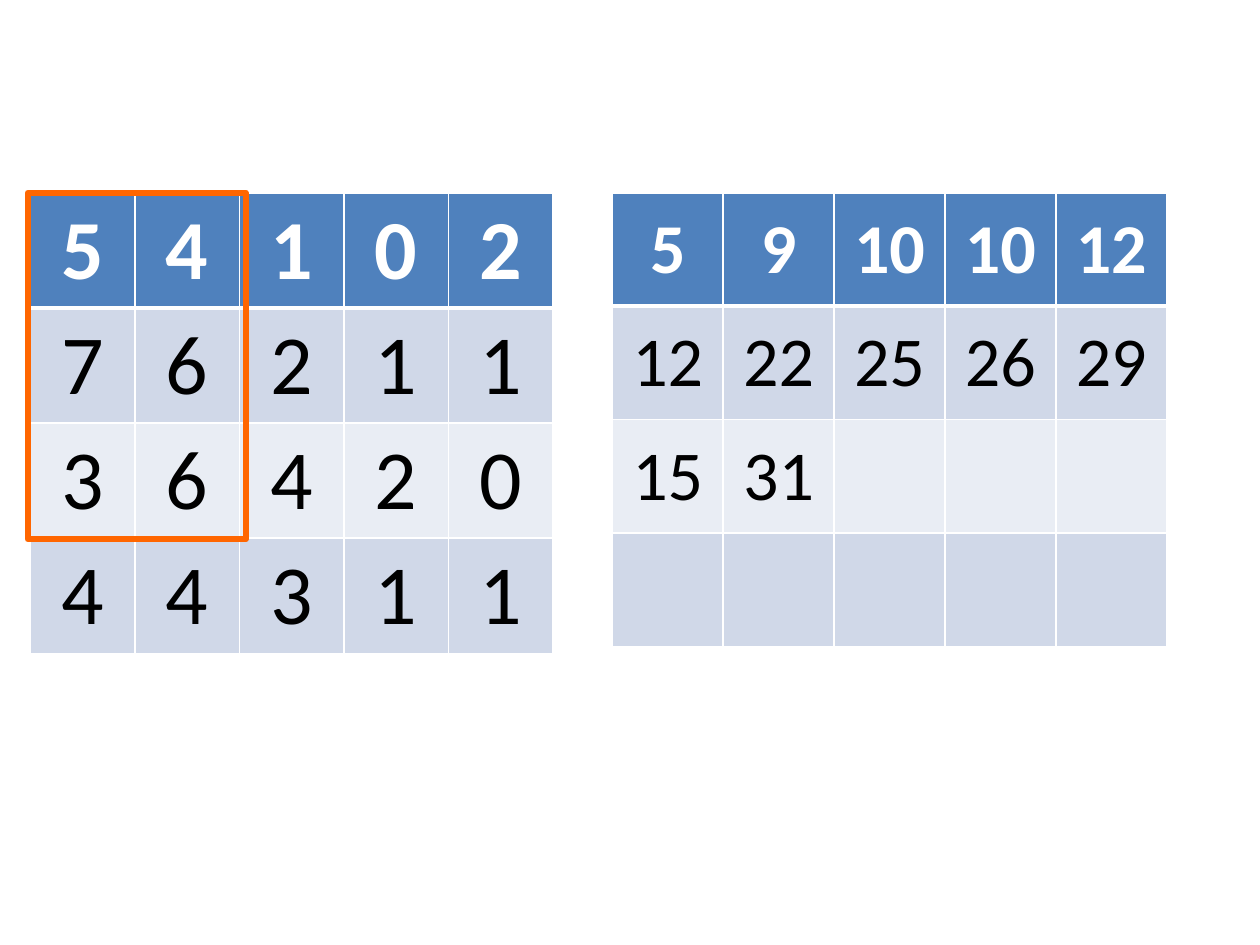
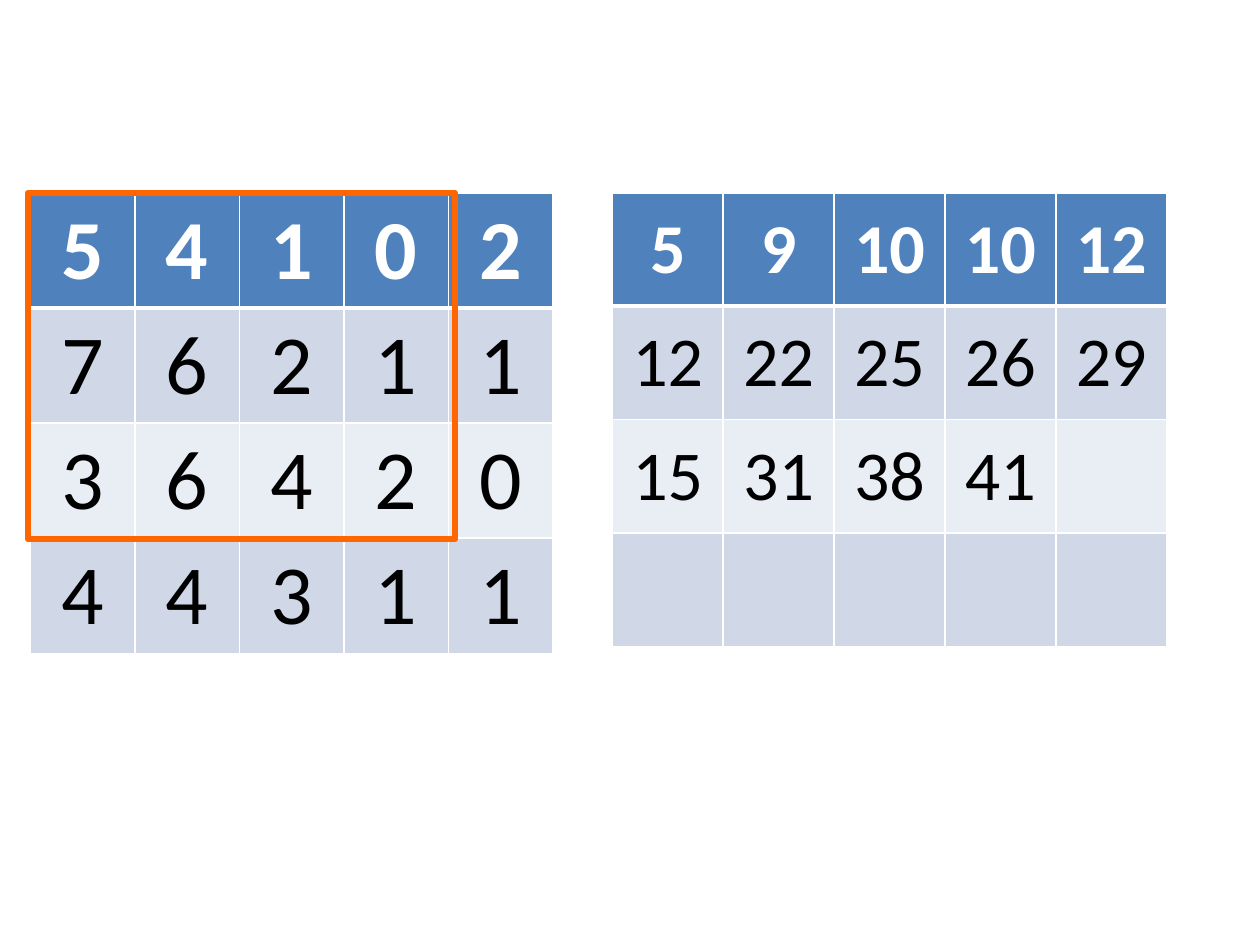
from lxml import etree
from pptx import Presentation
from pptx.dml.color import RGBColor
from pptx.enum.shapes import MSO_SHAPE
from pptx.enum.text import MSO_ANCHOR, PP_ALIGN
from pptx.oxml.ns import qn
from pptx.util import Inches, Pt

NUMBERS = [
    [5, 4, 1, 0, 2],
    [7, 6, 2, 1, 1],
    [3, 6, 4, 2, 0],
    [4, 4, 3, 1, 1],
]
FINISHED_SUMS = [
    [5, 9, 10, 10, 12],
    [12, 22, 25, 26, 29],
]
# One slide per step: the sums reached so far in the third row
STEPS = [
    [15, 31],
    [15, 31, 38, 41],
]

FONT = "Calibri"
WHITE = RGBColor(0xFF, 0xFF, 0xFF)
BLACK = RGBColor(0x00, 0x00, 0x00)
HEADER_BLUE = RGBColor(0x4F, 0x81, 0xBD)
BANDS = [RGBColor(0xE9, 0xED, 0xF4), RGBColor(0xD0, 0xD8, 0xE8)]
ORANGE = RGBColor(0xFF, 0x66, 0x00)

RECTANGLE = MSO_SHAPE.RECTANGLE
CENTER = PP_ALIGN.CENTER
MIDDLE = MSO_ANCHOR.MIDDLE

ROWS, COLUMNS = 4, 5
TOP = 1.53
ROW_HEIGHT = 0.9
NUMBERS_LEFT, NUMBERS_COLUMN, NUMBERS_SIZE = 0.24, 0.83, 48
SUMS_LEFT, SUMS_COLUMN, SUMS_SIZE = 4.86, 0.88, 40
FRAME_LEFT, FRAME_ROWS = 0.22, 3
FRAME_EXTRA_WIDTH, FRAME_EXTRA_HEIGHT = 0.07, 0.05


def set_borders(cell, row):
    """White rules, thicker between the header row and the body."""
    widths = {"lnL": 1, "lnR": 1, "lnT": 3 if row == 1 else 1, "lnB": 3 if row == 0 else 1}
    properties = cell._tc.get_or_add_tcPr()
    for side, width in widths.items():
        line = etree.SubElement(properties, qn(f"a:{side}"), w=str(Pt(width)))
        fill = etree.SubElement(line, qn("a:solidFill"))
        etree.SubElement(fill, qn("a:srgbClr"), val=str(WHITE))


def add_grid(slide, values, left, column_width, size):
    table = slide.shapes.add_table(
        ROWS, COLUMNS, Inches(left), Inches(TOP),
        Inches(COLUMNS * column_width), Inches(ROWS * ROW_HEIGHT),
    ).table
    for column in table.columns:
        column.width = Inches(column_width)
    for row in range(ROWS):
        is_header = row == 0
        for column in range(COLUMNS):
            cell = table.cell(row, column)
            set_borders(cell, row)
            cell.fill.solid()
            cell.fill.fore_color.rgb = HEADER_BLUE if is_header else BANDS[row % 2]
            cell.vertical_anchor = MIDDLE
            if row < len(values) and column < len(values[row]):
                para = cell.text_frame.paragraphs[0]
                para.text = str(values[row][column])
                para.alignment = CENTER
                font = para.runs[0].font
                font.name, font.size, font.bold = FONT, Pt(size), is_header
                font.color.rgb = WHITE if is_header else BLACK


def add_frame(slide, columns):
    """Outline the block of numbers that the latest sum covers."""
    frame = slide.shapes.add_shape(
        RECTANGLE, Inches(FRAME_LEFT), Inches(TOP),
        Inches(columns * NUMBERS_COLUMN + FRAME_EXTRA_WIDTH),
        Inches(FRAME_ROWS * ROW_HEIGHT + FRAME_EXTRA_HEIGHT),
    )
    frame.shadow.inherit = False
    frame.fill.background()
    frame.line.color.rgb = ORANGE
    frame.line.width = Pt(3.5)


def main():
    deck = Presentation()
    deck.slide_width, deck.slide_height = Inches(10), Inches(7.5)
    blank = deck.slide_layouts[6]
    for third_row in STEPS:
        slide = deck.slides.add_slide(blank)
        add_grid(slide, NUMBERS, NUMBERS_LEFT, NUMBERS_COLUMN, NUMBERS_SIZE)
        add_grid(slide, FINISHED_SUMS + [third_row], SUMS_LEFT, SUMS_COLUMN, SUMS_SIZE)
        add_frame(slide, len(third_row))
    deck.save("out.pptx")


if __name__ == "__main__":
    main()
